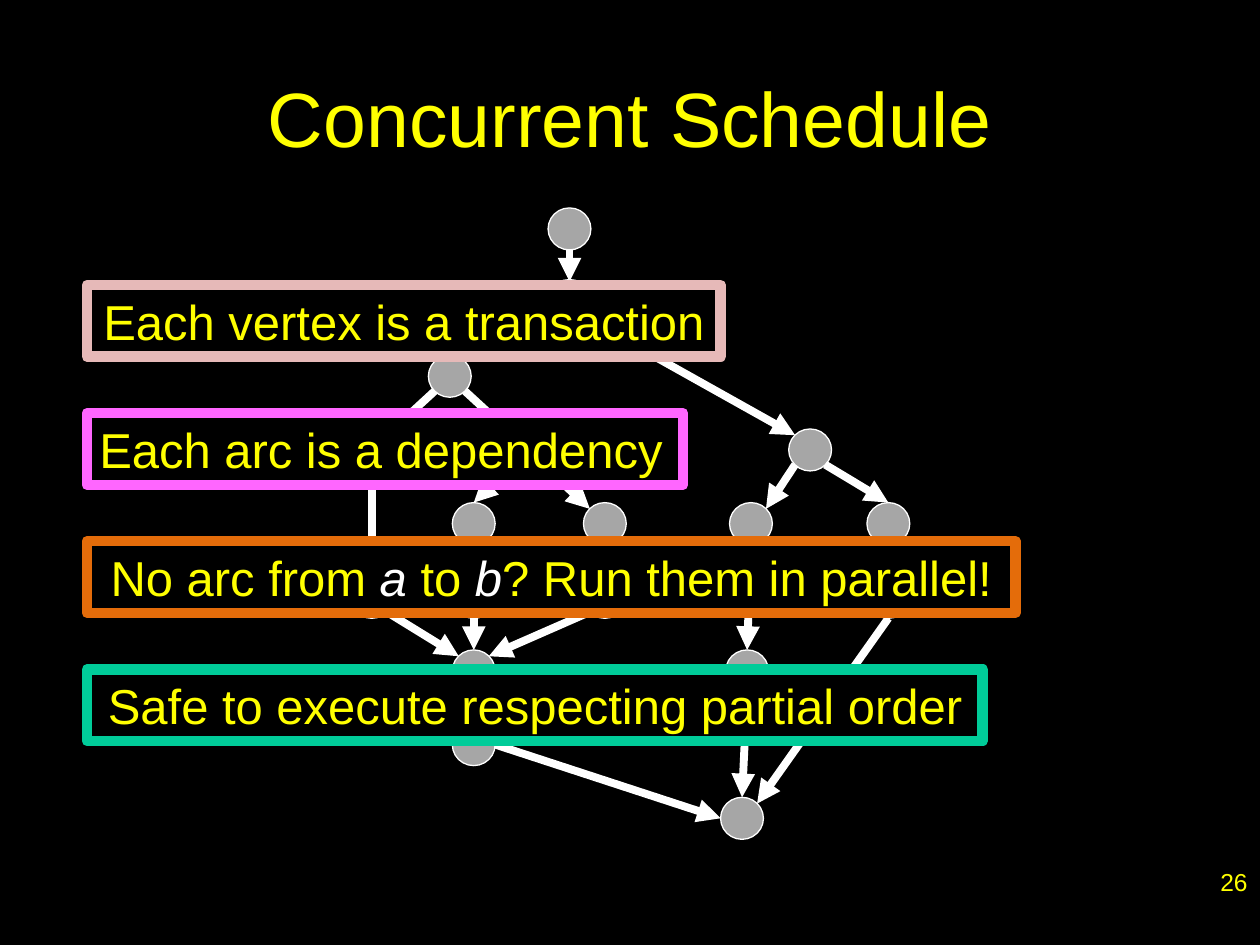
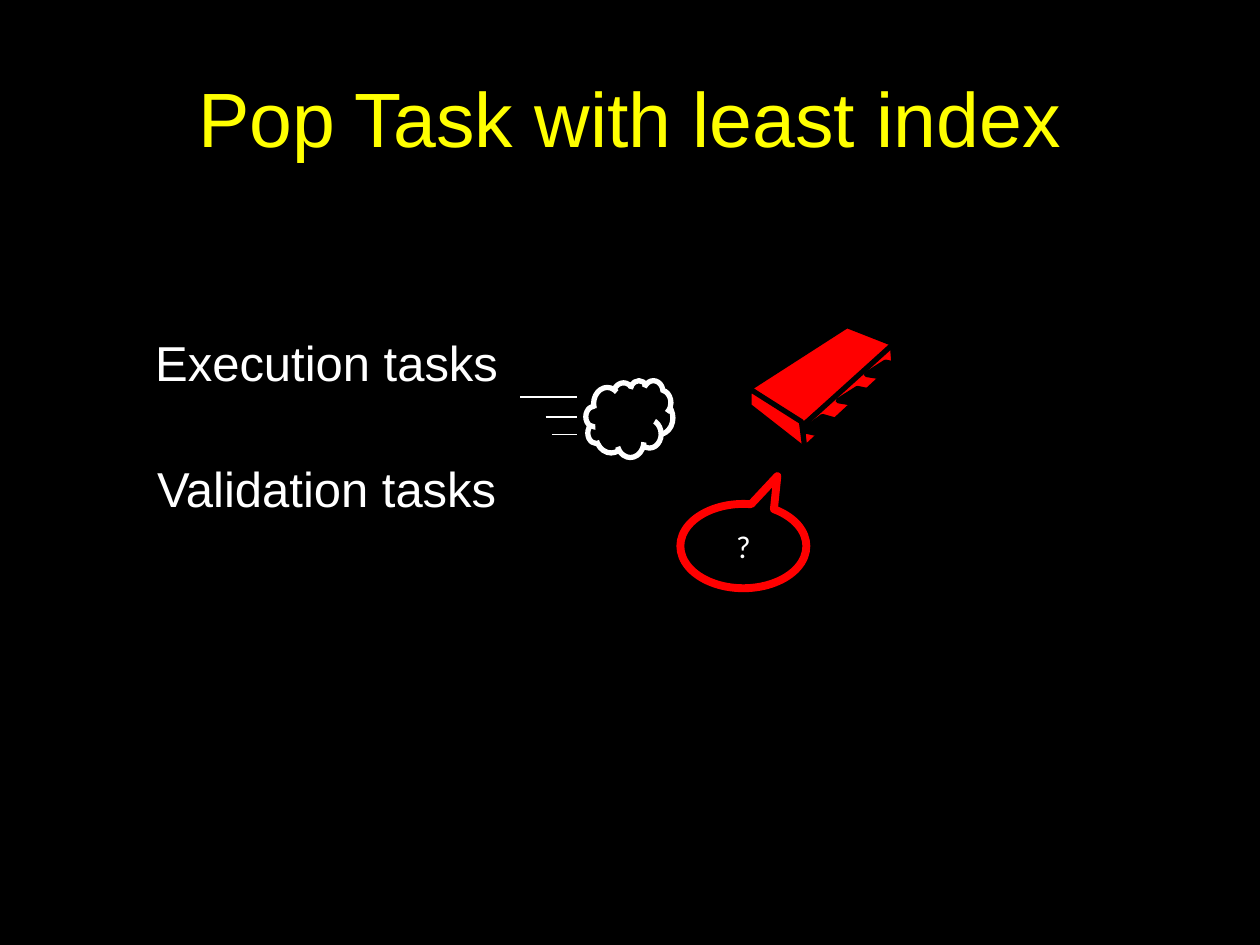
"""Build two slides on concurrent transaction scheduling."""
import lxml.etree
import pptx
import pptx.dml.color
import pptx.enum.shapes
import pptx.enum.text
import pptx.oxml.ns
import pptx.util

Pt = pptx.util.Pt
SHAPE = pptx.enum.shapes.MSO_SHAPE
ALIGN = pptx.enum.text.PP_ALIGN
ANCHOR = pptx.enum.text.MSO_ANCHOR
qn = pptx.oxml.ns.qn

BLACK, WHITE, YELLOW, RED, GRAY = "000000", "FFFFFF", "FFFF00", "FF0000", "A6A6A6"
TITLE_FONT = {"name": "Arial", "size": Pt(44), "color": YELLOW}
BOX_FONT = {"name": "Arial", "size": Pt(28), "color": YELLOW}
TASK_FONT = {**BOX_FONT, "color": WHITE}
NUMBER_FONT = {**BOX_FONT, "size": Pt(14)}
CALLOUT_FONT = {"name": "Calibri", "size": Pt(18), "color": WHITE}
VARIABLE = {"italic": True, "color": WHITE}

NODE_W, NODE_H = 24.5, 24
ROW_TOP, ROW_STEP = 118.8, 42.1
NODES = {
    "start": (313.2, 0), "root": (313.2, 1), "left": (244.8, 2),
    "right": (450.7, 3), "fork": (289.4, 3), "far": (200.2, 3),
    "mid": (258.5, 4), "inner": (333.4, 4), "short": (416.9, 4),
    "long": (495.4, 4), "far end": (200.2, 5), "mid end": (258.5, 5),
    "inner end": (333.4, 5), "long end": (495.4, 5), "join": (258.5, 6),
    "short end": (414.7, 6), "join end": (258.5, 7), "sink": (411.8, 8),
}
ARCS = [
    ("start", "S", "root", "N"), ("root", "SW", "left", "NE"),
    ("root", "SE", "right", "NW"), ("right", "SE", "long", "N"),
    ("right", "SW", "short", "NE"), ("short", "S", "short end", "N"),
    ("short end", "S", "sink", "N"), ("join end", "E", "sink", "W"),
    ("long end", "S", "sink", "NE"), ("left", "SW", "far", "NE"),
    ("left", "SE", "fork", "NW"), ("fork", "SE", "inner", "NW"),
    ("fork", "SW", "mid", "N"), ("far", "S", "far end", "N"),
    ("inner end", "SW", "join", "NE"), ("far end", "SE", "join", "NW"),
    ("mid end", "S", "join", "N"),
]
RULES = [
    (362.2, "E6B9B8", ALIGN.CENTER, [("Each vertex is a transaction", {})]),
    (340.6, "FF66FF", ALIGN.LEFT, [("Each arc is a dependency", {})]),
    (530.6, "E46C0A", ALIGN.CENTER,
     [("No arc from ", {}), ("a", VARIABLE), (" to ", {}), ("b", VARIABLE),
      ("? Run them in parallel!", {})]),
    (511.9, "00CC99", ALIGN.CENTER,
     [("Safe to execute respecting partial order", {})]),
]

BACK_LEG = [(15.5, 5), (5, 0), (0, 5), (0, 35.5), (5, 30.5), (5, 10), (15.5, 15)]
FRONT_LEG = [(11, 0), (0, 7), (18.2, 10.5), (18.2, 30.6), (25.6, 23.8), (25.6, 3.6)]
BACK_LEGS = [(459.4, 185), (422.6, 211.7), (445, 196.6)]
FRONT_LEGS = [(458.6, 237.6, 1.16), (478.8, 221.8, 1), (495.4, 206.6, 1)]
CHIP_FACES = [
    [(483.8, 185.8), (427.7, 221.8), (459.4, 243.4), (511.9, 196.6)],
    [(509.8, 196.6), (458.6, 242.6), (459.4, 257), (511.2, 208.8)],
    [(427.7, 221.8), (427.7, 231.8), (460, 257), (457.9, 241.2)],
]


def rgb(value):
    """Turn a hex string into a colour."""
    return pptx.dml.color.RGBColor.from_string(value)


def set_font(font, fmt):
    """Apply a dict of format values to a font."""
    for key, value in fmt.items():
        if key == "color":
            font.color.rgb = rgb(value)
        else:
            setattr(font, key, value)


def set_text(tf, runs, fmt, align=ALIGN.CENTER, **frame):
    """Fill a text frame with one paragraph of runs."""
    for key, value in frame.items():
        setattr(tf, key, value)
    p = tf.paragraphs[0]
    p.alignment = align
    for text, extra in runs:
        r = p.add_run()
        r.text = text
        set_font(r.font, {**fmt, **extra})


def paint(sp, fill=None, line=None, weight=0.75):
    """Set fill and outline, and remove the shadow."""
    sp.shadow.inherit = False
    for part, color in ((sp.fill, fill), (sp.line.fill, line)):
        if color:
            part.solid()
            part.fore_color.rgb = rgb(color)
        else:
            part.background()
    if line:
        sp.line.width = Pt(weight)


def add_shape(s, kind, left, top, width, height, **look):
    """Add a painted preset shape."""
    sp = s.shapes.add_shape(kind, Pt(left), Pt(top), Pt(width), Pt(height))
    paint(sp, **look)
    return sp


def add_box(s, left, top, width, runs, fmt, align=ALIGN.CENTER, **look):
    """Add a black box holding one line of text."""
    sp = add_shape(s, SHAPE.RECTANGLE, left, top, width, 41, fill=BLACK, **look)
    set_text(sp.text_frame, runs, fmt, align, word_wrap=False,
             vertical_anchor=ANCHOR.TOP,
             auto_size=pptx.enum.text.MSO_AUTO_SIZE.SHAPE_TO_FIT_TEXT)


def add_line(s, start, end, weight, arrow=False):
    """Add a white line, with an arrowhead at its end if wanted."""
    line = s.shapes.add_connector(pptx.enum.shapes.MSO_CONNECTOR.STRAIGHT,
                                  *(Pt(v) for v in (*start, *end)))
    line.line.color.rgb = rgb(WHITE)
    line.line.width = Pt(weight)
    props = line.element.spPr
    if arrow:
        lxml.etree.SubElement(props.find(qn("a:ln")), qn("a:tailEnd"), type="triangle")
    lxml.etree.SubElement(props, qn("a:effectLst"))


def add_outline(s, points, fill):
    """Add a closed polygon with a black edge."""
    builder = s.shapes.build_freeform(*points[0], scale=float(Pt(1)))
    builder.add_line_segments(points[1:], close=True)
    paint(builder.convert_to_shape(), fill, BLACK, 3)


def add_slide(prs, title):
    """Add a slide with a styled title."""
    s = prs.slides.add_slide(prs.slide_layouts[5])
    sp = s.shapes.title
    sp.left, sp.top, sp.width, sp.height = Pt(36), Pt(21.6), Pt(648), Pt(90)
    set_text(sp.text_frame, [(title, {})], TITLE_FONT, vertical_anchor=ANCHOR.MIDDLE)
    return s


def rim(node, side):
    """Find the point of a node's rim at a compass side."""
    left, row = NODES[node]
    dx = ("E" in side) - ("W" in side)
    dy = ("S" in side) - ("N" in side)
    reach = 0.5 if len(side) == 1 else 0.35
    return (left + NODE_W * (0.5 + reach * dx),
            ROW_TOP + ROW_STEP * row + NODE_H * (0.5 + reach * dy))


def add_graph(s):
    """Draw the dependency graph."""
    for name, (left, row) in NODES.items():
        add_shape(s, SHAPE.OVAL, left, ROW_TOP + ROW_STEP * row, NODE_W, NODE_H,
                  fill=GRAY, line=WHITE, weight=3 if name == "root" else 0.75)
    for source, out_side, target, in_side in ARCS:
        add_line(s, rim(source, out_side), rim(target, in_side), 4.5, arrow=True)


def add_chip(s):
    """Draw the red chip with its legs."""
    for x, y in BACK_LEGS:
        add_outline(s, [(x + dx, y + dy) for dx, dy in BACK_LEG], BLACK)
    for face in CHIP_FACES:
        add_outline(s, face, RED)
    for x, y, stretch in FRONT_LEGS:
        add_outline(s, [(x + dx, y + dy * stretch) for dx, dy in FRONT_LEG], BLACK)


def add_schedule_slide(prs):
    """Build the slide with the graph and its four rules."""
    s = add_slide(prs, "Concurrent Schedule")
    number = s.shapes.add_textbox(Pt(570.2), Pt(491.8), Pt(149.8), Pt(36))
    set_text(number.text_frame, [("26", {})], NUMBER_FONT, ALIGN.RIGHT, word_wrap=True)
    add_graph(s)
    for i, (width, color, align, runs) in enumerate(RULES):
        add_box(s, 49.7, 162.9 + 73.2 * i, width, runs, BOX_FONT, align,
                line=color, weight=6)


def add_task_slide(prs):
    """Build the slide with the tasks and the chip."""
    s = add_slide(prs, "Pop Task with least index")
    add_chip(s)
    for i, text in enumerate(("Execution tasks", "Validation tasks")):
        add_box(s, 80.6, 186.5 + 72 * i, 212, [(text, {})], TASK_FONT)
    add_shape(s, SHAPE.CLOUD, 334.8, 217.4, 49.7, 43.9, line=WHITE, weight=3)
    for left, y in ((297.4, 226.8), (311.8, 238.3), (315.4, 248.4)):
        add_line(s, (left, y), (329.8, y), 0.75)
    sp = add_shape(s, SHAPE.OVAL_CALLOUT, 388.8, 288, 72, 48.2, line=RED, weight=4.5)
    sp.adjustments[0], sp.adjustments[1] = 0.27, -0.83
    set_text(sp.text_frame, [("?", {})], CALLOUT_FONT, vertical_anchor=ANCHOR.MIDDLE)


def main():
    """Build and save the presentation."""
    prs = pptx.Presentation()
    prs.slide_width, prs.slide_height = Pt(720), Pt(540)
    fill = prs.slide_master.background.fill
    fill.solid()
    fill.fore_color.rgb = rgb(BLACK)
    add_schedule_slide(prs)
    add_task_slide(prs)
    prs.save("out.pptx")


if __name__ == "__main__":
    main()
